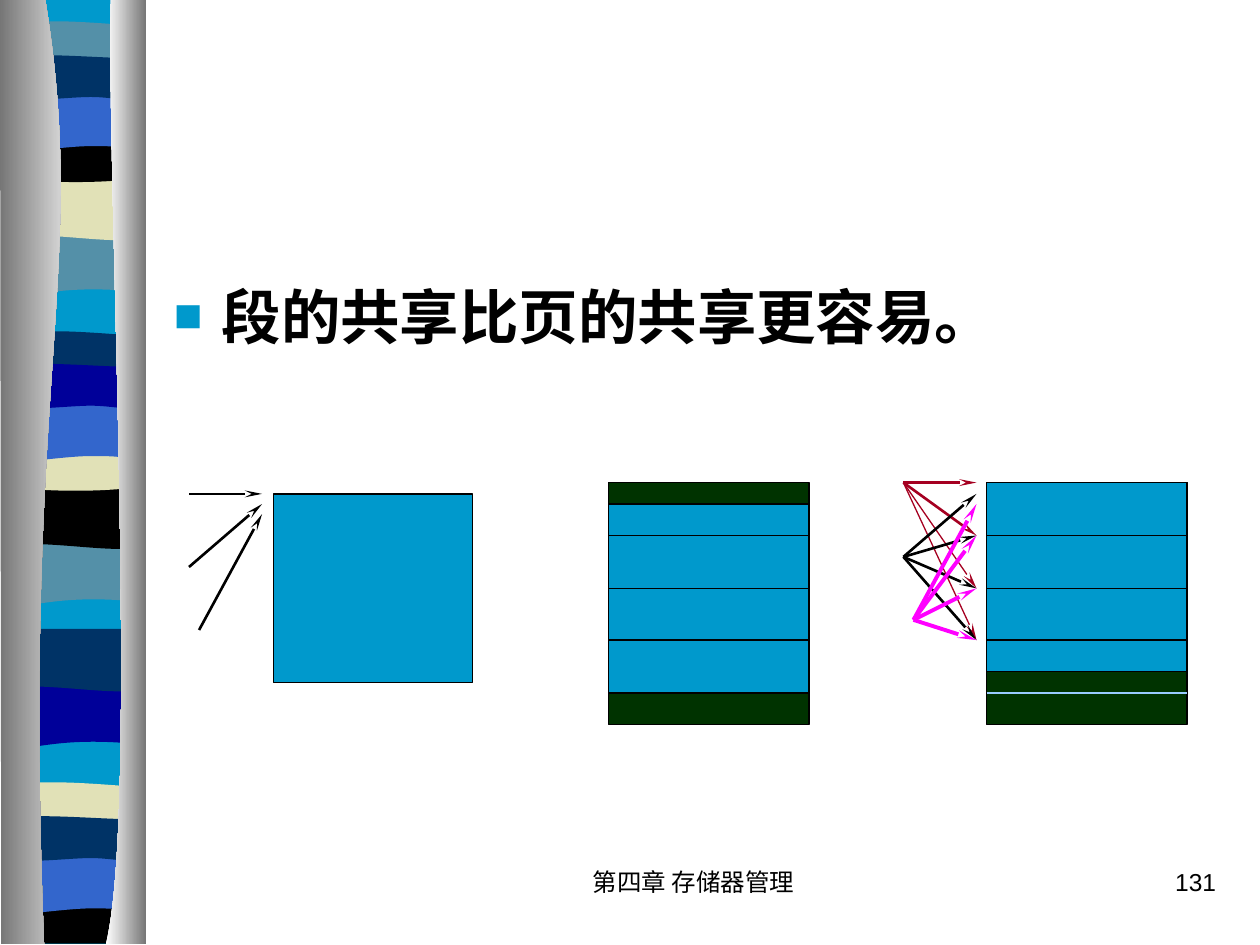
import pptx
import pptx.util
import pptx.dml.color
import pptx.enum.shapes
import pptx.enum.text
import pptx.oxml
import pptx.oxml.ns
from pptx.util import Inches

RGBColor = pptx.dml.color.RGBColor
SHAPE = pptx.enum.shapes.MSO_SHAPE
ALIGN = pptx.enum.text.PP_ALIGN
qn = pptx.oxml.ns.qn

WHITE = RGBColor(0xFF, 0xFF, 0xFF)
BLACK = RGBColor(0, 0, 0)
GREY = RGBColor(0x76, 0x76, 0x76)
CYAN = RGBColor(0, 0x99, 0xCC)
TEAL = RGBColor(0x54, 0x90, 0xA8)
CREAM = RGBColor(0xE1, 0xE1, 0xB7)
BLUE = RGBColor(0x33, 0x66, 0xCC)
NAVY = RGBColor(0, 0x33, 0x66)
INDIGO = RGBColor(0, 0, 0x99)
GREEN = RGBColor(0, 0x33, 0)
PALE = RGBColor(0x99, 0xCC, 0xFF)
RED = RGBColor(0xA5, 0, 0x21)
PINK = RGBColor(0xFF, 0, 0xFF)

BANDS = [
    ((1.85, 4.31, 5.44), (TEAL, TEAL, INDIGO),
     [(1.08, 0), (1.08, 0.47), (0.33, 0.39, 0.18, 0.55, 0, 0.47), (0, 0)]),
    ((1.41, 3.86, 4.99), (CREAM, BLACK, NAVY),
     [(1.08, 0), (1.08, 0.47), (0.9, 0.55, 0.33, 0.42, 0, 0.47), (0, 0)]),
    ((0.16, 2.62, 6.2), (TEAL, NAVY, CREAM),
     [(1.08, 0.05), (1.08, 0.29), (0.9, 0.33, 0.18, 0.33, 0, 0.29), (0, 0.05),
      (0.06, 0, 0.23, 0.01, 0.41, 0.01), (0.59, 0.01, 0.94, 0.04, 1.08, 0.05)]),
    ((1.08, 3.53), (BLACK, CREAM),
     [(1.08, 0), (1.08, 0.32), (0.9, 0.38, 0.18, 0.38, 0, 0.32), (0, 0),
      (0.66, 0.05, 0.85, 0, 1.08, 0)]),
    ((7.12,), (BLACK,),
     [(1.08, 0), (1.08, 0.37), (0, 0.37), (0, 0), (0.66, 0.05, 0.85, 0, 1.08, 0)]),
    ((0.74, 3.2, 6.79), (BLUE, BLUE, BLUE),
     [(1.08, 0), (1.08, 0.47), (0.91, 0.42, 0.84, 0.42, 0.66, 0.42),
      (0.48, 0.42, 0.16, 0.47, 0, 0.47), (0, 0)]),
    ((0.41, 2.86, 6.45), (NAVY, INDIGO, NAVY),
     [(1.08, 0.05), (1.08, 0.36), (1.01, 0.41, 0.84, 0.36, 0.66, 0.36),
      (0.48, 0.36, 0.11, 0.41, 0, 0.36), (0, 0.05),
      (0.15, 0, 0.73, 0.05, 0.91, 0.05), (1.09, 0.05, 1.04, 0.05, 1.08, 0.05)]),
]


def bend(shape, path):
    legs = list(shape._element.iter(qn("a:lnTo")))
    for part in path[1:]:
        count = len(part) // 2
        group, legs = legs[:count], legs[count:]
        if count == 3:
            curve = group[0].makeelement(qn("a:cubicBezTo"), {})
            group[0].addprevious(curve)
            for leg in group:
                curve.append(leg[0])
                leg.getparent().remove(leg)


def add_form(slide, left, top, path):
    dots = [(Inches(left + part[i]), Inches(top + part[i + 1]))
            for part in path for i in range(0, len(part), 2)]
    form = slide.shapes.build_freeform(*dots[0])
    form.add_line_segments(dots[1:], close=True)
    shape = form.convert_to_shape()
    bend(shape, path)
    shape.shadow.inherit = False
    shape.line.fill.background()
    return shape


def paint(shape, fill):
    shape.fill.solid()
    shape.fill.fore_color.rgb = fill


def shade(shape, start, end):
    shape.fill.gradient()
    shape.fill.gradient_angle = 0
    for stop, hue in zip(shape.fill.gradient_stops, (start, end)):
        stop.color.rgb = hue


def add_strip(slide, left, top, width, height):
    back = [(width, 0), (width, height), (0, height), (0, 0)]
    paint(add_form(slide, left, top, back), CYAN)
    for tops, fills, path in BANDS:
        for y, fill in zip(tops, fills):
            paint(add_form(slide, left, top + y, path), fill)
    near = [(0.36, 0), (0.71, 2.16, 0.17, 2.96, 0.35, height), (0.01, height), (0, 0)]
    shade(add_form(slide, 0, top, near), GREY, WHITE)
    far = [(0.88, 0), (0.84, 1.25, 1.11, 6.46, 0.84, height), (1.16, height), (1.16, 0)]
    shade(add_form(slide, 0, top, far), WHITE, GREY)


def add_box(slide, left, top, width, height, fill):
    box = slide.shapes.add_shape(
        SHAPE.RECTANGLE, Inches(left), Inches(top), Inches(width), Inches(height))
    box.shadow.inherit = False
    paint(box, fill)
    box.line.color.rgb = BLACK
    box.line.width = pptx.util.Pt(0.75)


def add_line(slide, start, end, hue, width=0.75, arrow=False):
    line = slide.shapes.add_connector(
        pptx.enum.shapes.MSO_CONNECTOR.STRAIGHT,
        *(Inches(v) for v in (*start, *end)))
    line.line.color.rgb = hue
    line.line.width = pptx.util.Pt(width)
    props = line._element.spPr
    if arrow:
        edge = props.find(qn("a:ln"))
        edge.append(edge.makeelement(
            qn("a:tailEnd"), {"type": "stealth", "w": "sm", "len": "lg"}))
    props.append(props.makeelement(qn("a:effectLst"), {}))


def add_stack(slide, left, top, width, height, inner, rules):
    add_box(slide, left, top, width, height, GREEN)
    add_box(slide, left, inner, width, 1.5, CYAN)
    for y, hue in rules:
        add_line(slide, (left, y), (left + width, y), hue)


def add_fan(slide, start, right, ends, hue, widths):
    for y, width in zip(ends, widths):
        add_line(slide, start, (right, y), hue, width, True)


def add_run(para, text, size, face, bold=False):
    run = para.add_run()
    run.text = text
    run.font.size = pptx.util.Pt(size)
    run.font.name = face
    run.font.bold = bold
    run.font.color.rgb = BLACK


def add_note(slide, left, top, width, height, text, align):
    box = slide.shapes.add_textbox(
        Inches(left), Inches(top), Inches(width), Inches(height))
    box.text_frame.word_wrap = True
    para = box.text_frame.paragraphs[0]
    para.alignment = align
    add_run(para, text, 14, "Arial")


def fill_body(slide, left, top, width, height):
    body = slide.placeholders[1]
    slide.shapes._spTree.append(body._element)
    body.left, body.top = Inches(left), Inches(top)
    body.width, body.height = Inches(width), Inches(height)
    frame = body.text_frame
    frame.word_wrap = True
    frame.auto_size = pptx.enum.text.MSO_AUTO_SIZE.NONE
    frame.vertical_anchor = pptx.enum.text.MSO_ANCHOR.TOP
    para = frame.paragraphs[0]
    props = para._p.get_or_add_pPr()
    props.set("marL", str(Inches(0.38)))
    props.set("indent", str(Inches(-0.38)))
    space = pptx.oxml.ns.nsdecls("a")
    for part in (f'<a:buClr {space}><a:srgbClr val="{CYAN}"/></a:buClr>',
                 f'<a:buSzPct {space} val="80000"/>',
                 f'<a:buFont {space} typeface="Arial"/>',
                 f'<a:buChar {space} char="■"/>'):
        props.append(pptx.oxml.parse_xml(part))
    para.space_before = pptx.util.Pt(0)
    add_run(para, "段的共享比页的共享更容易。", 34, "Times New Roman", True)


def main():
    deck = pptx.Presentation()
    deck.slide_width, deck.slide_height = Inches(10), Inches(7.5)
    slide = deck.slides.add_slide(deck.slide_layouts[1])
    title = slide.shapes.title._element
    title.getparent().remove(title)

    add_strip(slide, 0.06, 0, 1.08, 7.49)
    fill_body(slide, 1.28, 2.17, 8.47, 1.25)

    rules = [(y, BLACK) for y in (4.25, 4.67, 5.08)]
    add_stack(slide, 4.83, 3.83, 1.59, 1.92, 4, rules)
    add_stack(slide, 7.83, 3.83, 1.59, 1.92, 3.83, rules + [(5.5, PALE)])
    add_box(slide, 2.17, 3.92, 1.58, 1.5, CYAN)

    for start, y in (((1.5, 3.92), 3.92), ((1.5, 4.5), 4), ((1.58, 5), 4.08)):
        add_fan(slide, start, 2.08, [y], BLACK, [1.5])
    pages = [y for y, _ in rules]
    add_fan(slide, (7.17, 3.83), 7.75, [3.83] + pages, RED, [1.5, 1.5, 0.75, 0.75])
    add_fan(slide, (7.17, 4.42), 7.75, [3.92] + pages, BLACK, [1.5] * 4)
    add_fan(slide, (7.25, 4.92), 7.75, [4] + pages, PINK, [2.25] * 4)

    add_note(slide, 3.92, 6.83, 3.17, 0.5, "第四章 存储器管理", ALIGN.CENTER)
    add_note(slide, 7.67, 6.83, 2.08, 0.5, "131", ALIGN.RIGHT)
    deck.save("out.pptx")


if __name__ == "__main__":
    main()
